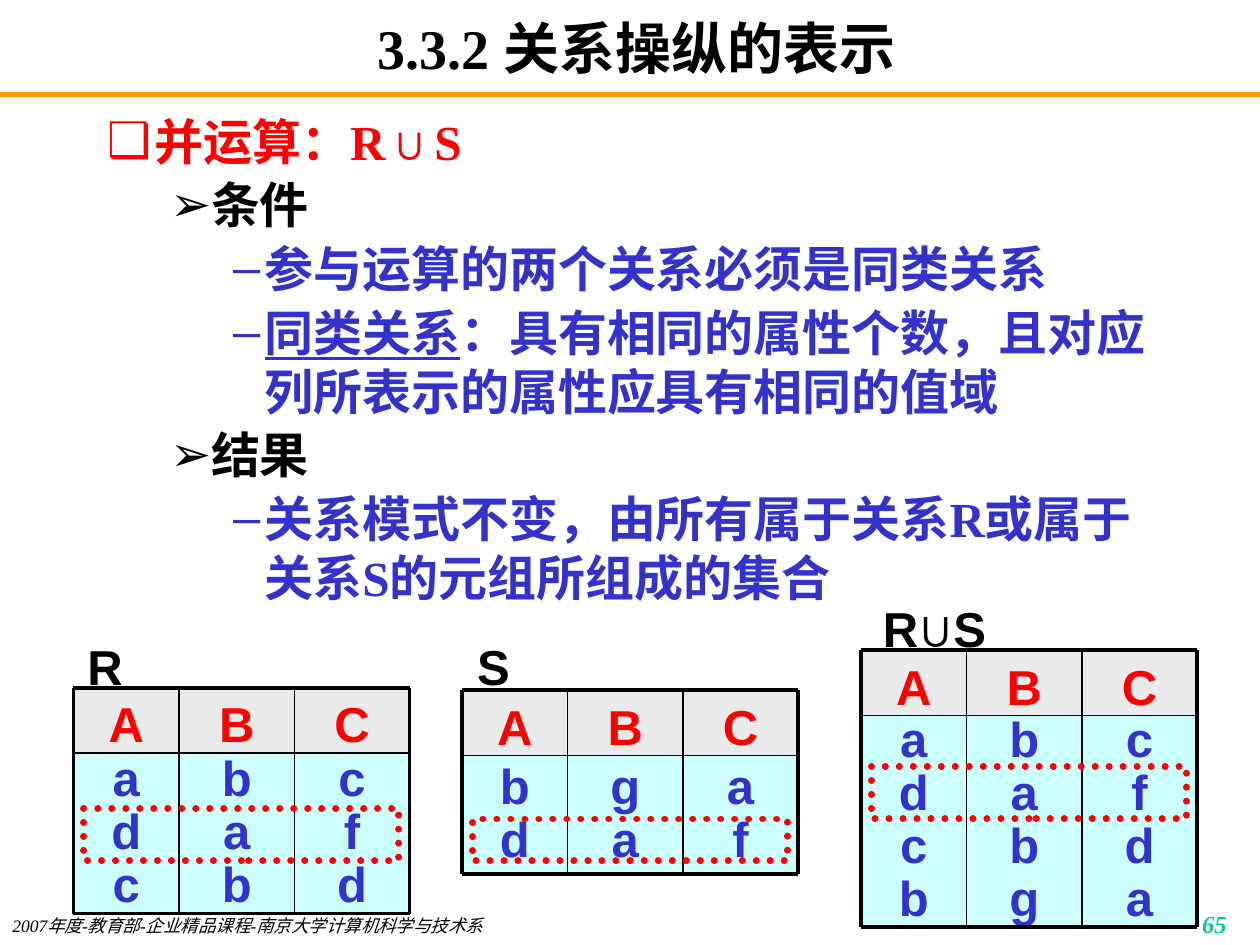
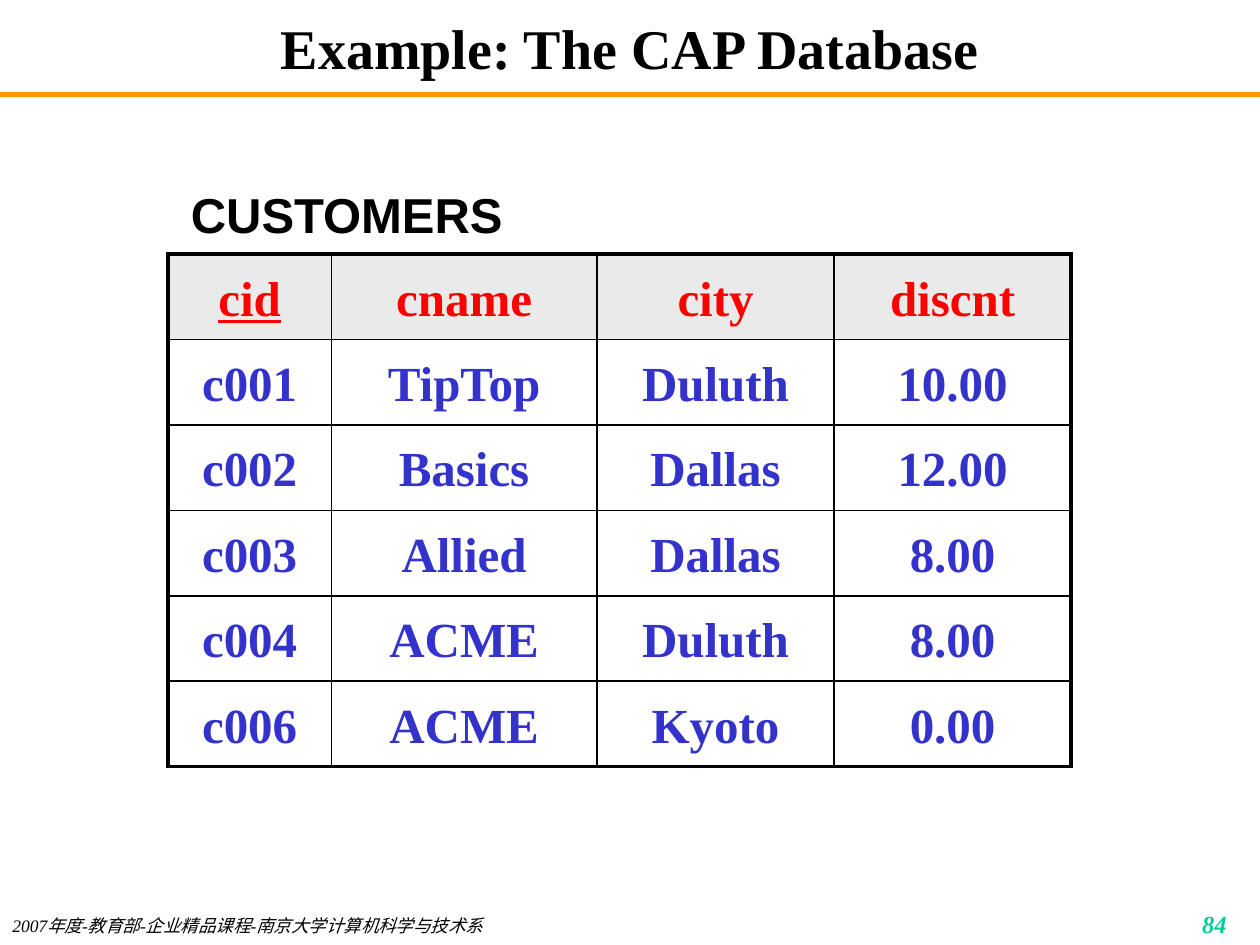
from lxml.etree import SubElement
from pptx import Presentation
from pptx.dml.color import RGBColor
from pptx.enum.dml import MSO_LINE
from pptx.enum.shapes import MSO_CONNECTOR, MSO_SHAPE
from pptx.enum.text import MSO_ANCHOR, MSO_AUTO_SIZE, PP_ALIGN
from pptx.oxml.ns import qn
from pptx.util import Inches, Pt

# Colours and fonts
BLACK = RGBColor(0x00, 0x00, 0x00)
RED = RGBColor(0xFF, 0x00, 0x00)
BLUE = RGBColor(0x33, 0x33, 0xCC)
ORANGE = RGBColor(0xFF, 0x99, 0x00)
GREEN = RGBColor(0x00, 0xCC, 0x99)
HEADER_GREY = RGBColor(0xEA, 0xEA, 0xEA)
PALE_CYAN = RGBColor(0xCC, 0xFF, 0xFF)
SERIF, SANS, CHINESE = "Times New Roman", "Arial", "Noto Sans CJK SC"

# The slide is a grid of 120 columns and 90 rows
COLUMNS, ROWS = 120, 90
CELL = Inches(10) / COLUMNS
THICK, THIN = 2.25, 1
TEXT_SIZE = 28

FOOTER = "2007年度-教育部-企业精品课程-南京大学计算机科学与技术系"

# Bullet, left margin, hanging indent (grid cells) and colour by level
LEVELS = [("❑", 4.5, 4.5, RED), ("➢", 9.75, 3.75, BLACK), ("–", 15, 3, BLUE)]

# Level and spans (text, underlined) of the union operation
UNION_RULES = [
    (0, [("并运算：R∪S", False)]),
    (1, [("条件", False)]),
    (2, [("参与运算的两个关系必须是同类关系", False)]),
    (2, [("同类关系", True),
         ("：具有相同的属性个数，且对应列所表示的属性应具有相同的值域", False)]),
    (1, [("结果", False)]),
    (2, [("关系模式不变，由所有属于关系R或属于关系S的元组所组成的集合", False)]),
]

# Name, label width, left, top, bottom, label top, tuples, highlight top and height
RELATIONS = [
    ("R", 4, 7, 65.5, 87, 60.6, ["abc", "daf", "cbd"], 77, 5),
    ("S", 4, 44, 65.75, 83.25, 60.6, ["bga", "daf"], 78, 4),
    ("R∪S", 12, 82, 61.95, 88.3, 57, ["abc", "daf", "cbd", "bga"], 73, 5),
]
RELATION_EDGES = [0, 10.05, 21.05, 32]
RELATION_HEADER = 6.2

CUSTOMERS = [
    ["cid", "cname", "city", "discnt"],
    ["c001", "TipTop", "Duluth", "10.00"],
    ["c002", "Basics", "Dallas", "12.00"],
    ["c003", "Allied", "Dallas", "8.00"],
    ["c004", "ACME", "Duluth", "8.00"],
    ["c006", "ACME", "Kyoto", "0.00"],
]
CUSTOMER_LEFT, CUSTOMER_TOP, CUSTOMER_ROW = 16, 24.2, 8.14
CUSTOMER_WIDTHS = [15.55, 25.3, 22.6, 22.55]


def cells(count):
    return round(count * CELL)


def area(left, top, width, height):
    return [cells(length) for length in (left, top, width, height)]


def place(shape, *box):
    shape.left, shape.top, shape.width, shape.height = area(*box)


def format_span(span, size, color, face=SERIF, bold=True, italic=False, underline=False):
    font = span.font
    font.size, font.name = Pt(size), face
    font.bold, font.italic, font.underline = bold, italic, underline
    font.color.rgb = color
    SubElement(span._r.get_or_add_rPr(), qn("a:ea")).set("typeface", CHINESE)


def set_text(para, text, size, color, align=PP_ALIGN.LEFT, **style):
    para.text = text
    para.alignment = align
    for span in para.runs:
        format_span(span, size, color, **style)


def add_label(slide, box, text, size, color, align=PP_ALIGN.LEFT, inset=True, **style):
    label = slide.shapes.add_textbox(*area(*box))
    frame = label.text_frame
    frame.word_wrap = True
    if not inset:
        frame.margin_left = frame.margin_right = 0
        frame.margin_top = frame.margin_bottom = 0
    set_text(frame.paragraphs[0], text, size, color, align, **style)


def add_line(slide, start, end, color, width):
    ends = [cells(length) for length in (*start, *end)]
    line = slide.shapes.add_connector(MSO_CONNECTOR.STRAIGHT, *ends)
    line.line.color.rgb = color
    line.line.width = Pt(width)
    SubElement(line._element.spPr, qn("a:effectLst"))
    return line


# Shared parts of every slide
def add_master_rule(deck, slide):
    rule = add_line(slide, (0, 9), (COLUMNS, 9), ORANGE, 3)
    deck.slide_master.shapes.element.append(rule._element)


def start_slide(deck, layout, title, number):
    slide = deck.slides.add_slide(deck.slide_layouts[layout])
    heading = slide.shapes.title
    place(heading, 9, 1, 102, 7)
    heading.text_frame.vertical_anchor = MSO_ANCHOR.MIDDLE
    heading.text_frame.auto_size = MSO_AUTO_SIZE.NONE
    set_text(heading.text_frame.paragraphs[0], title, 32, BLACK, PP_ALIGN.CENTER)
    add_label(slide, (0, 86.6, 73.2, 3.4), FOOTER, 10, BLACK, bold=False, italic=True)
    add_label(slide, (93, 86, 25, 3), str(number), 14, GREEN, PP_ALIGN.RIGHT, italic=True)
    return slide


# Bulleted list
def set_bullet(para, level):
    bullet, margin, hanging, _ = LEVELS[level]
    para.level = level
    properties = para._p.get_or_add_pPr()
    properties.set("marL", str(cells(margin)))
    properties.set("indent", str(-cells(hanging)))
    SubElement(properties, qn("a:buChar")).set("char", bullet)


def fill_body(body, items):
    place(body, 9, 10, 102, 71)
    frame = body.text_frame
    frame.auto_size = MSO_AUTO_SIZE.NONE
    for index, (level, spans) in enumerate(items):
        para = frame.add_paragraph() if index else frame.paragraphs[0]
        para.space_before = Pt(2.75 if index else 0)
        set_bullet(para, level)
        for text, underline in spans:
            span = para.add_run()
            span.text = text
            format_span(span, TEXT_SIZE, LEVELS[level][3], underline=underline)


# Relations drawn as columns of values
def add_block(slide, box, values, fill, color, spacing):
    block = slide.shapes.add_shape(MSO_SHAPE.RECTANGLE, *area(*box))
    block.shadow.inherit = False
    block.fill.solid()
    block.fill.fore_color.rgb = fill
    block.line.fill.background()
    frame = block.text_frame
    frame.word_wrap = True
    frame.margin_top = frame.margin_bottom = 0
    frame.vertical_anchor = MSO_ANCHOR.MIDDLE
    for index, value in enumerate(values):
        para = frame.add_paragraph() if index else frame.paragraphs[0]
        set_text(para, value, TEXT_SIZE, color, PP_ALIGN.CENTER, face=SANS)
        para.line_spacing = spacing


def add_relation(slide, name, label_width, left, top, bottom, label_top, tuples):
    edges = [left + edge for edge in RELATION_EDGES]
    middle = top + RELATION_HEADER
    for start, end, heading, values in zip(edges, edges[1:], "ABC", zip(*tuples)):
        width = end - start
        add_block(slide, (start, middle, width, bottom - middle), values,
                  PALE_CYAN, BLUE, 0.9)
        add_block(slide, (start, top, width, RELATION_HEADER), heading,
                  HEADER_GREY, RED, 1.1)
    for y in (top, middle, bottom):
        add_line(slide, (edges[0], y), (edges[-1], y), BLACK, THIN if y == middle else THICK)
    for x in edges:
        outer = x in (edges[0], edges[-1])
        add_line(slide, (x, top), (x, bottom), BLACK, THICK if outer else THIN)
    add_label(slide, (left + 1, label_top, label_width, 5.6), name, TEXT_SIZE, BLACK,
              PP_ALIGN.CENTER, inset=False, face=SANS)


def add_highlight(slide, *box):
    frame = slide.shapes.add_shape(MSO_SHAPE.RECTANGLE, *area(*box))
    frame.shadow.inherit = False
    frame.fill.background()
    frame.line.color.rgb = RED
    frame.line.width = Pt(4)
    frame.line.dash_style = MSO_LINE.ROUND_DOT
    frame.element.spPr.find(qn("a:ln")).set("cap", "rnd")


# Customers table
def set_borders(cell, **widths):
    properties = cell._tc.get_or_add_tcPr()
    for side, width in widths.items():
        line = SubElement(properties, qn(f"a:ln{side}"), w=str(Pt(width)))
        fill = SubElement(line, qn("a:solidFill"))
        SubElement(fill, qn("a:srgbClr")).set("val", str(BLACK))


def add_customers(slide):
    last_row, last_column = len(CUSTOMERS) - 1, len(CUSTOMER_WIDTHS) - 1
    box = area(CUSTOMER_LEFT, CUSTOMER_TOP, sum(CUSTOMER_WIDTHS),
               CUSTOMER_ROW * len(CUSTOMERS))
    table = slide.shapes.add_table(len(CUSTOMERS), len(CUSTOMER_WIDTHS), *box).table
    table.first_row = table.horz_banding = False
    for column, width in zip(table.columns, CUSTOMER_WIDTHS):
        column.width = cells(width)
    for r, values in enumerate(CUSTOMERS):
        table.rows[r].height = cells(CUSTOMER_ROW)
        for c, value in enumerate(values):
            cell = table.cell(r, c)
            set_borders(cell, L=THIN if c else THICK,
                        R=THICK if c == last_column else THIN,
                        T=THIN if r else THICK,
                        B=THICK if r == last_row else THIN)
            if r:
                cell.fill.background()
            else:
                cell.fill.solid()
                cell.fill.fore_color.rgb = HEADER_GREY
            cell.vertical_anchor = MSO_ANCHOR.MIDDLE
            para = cell.text_frame.paragraphs[0]
            set_text(para, value, TEXT_SIZE, BLUE if r else RED, PP_ALIGN.CENTER,
                     underline=value == "cid")
            para.line_spacing = 1.1


def main():
    deck = Presentation()
    deck.slide_width, deck.slide_height = cells(COLUMNS), cells(ROWS)

    # Union of two relations
    union = start_slide(deck, 1, " 3.3.2 关系操纵的表示", 65)
    add_master_rule(deck, union)
    fill_body(union.placeholders[1], UNION_RULES)
    for *relation, mark_top, mark_height in RELATIONS:
        add_relation(union, *relation)
        left = relation[2]
        add_highlight(union, left + 1, mark_top, RELATION_EDGES[-1] - 2, mark_height)

    # Customers of the example database
    example = start_slide(deck, 5, "Example: The CAP Database", 84)
    add_customers(example)
    add_label(example, (17, 17, 35, 6.8), "CUSTOMERS", TEXT_SIZE, BLACK, face=SANS)

    deck.save("out.pptx")


if __name__ == "__main__":
    main()
